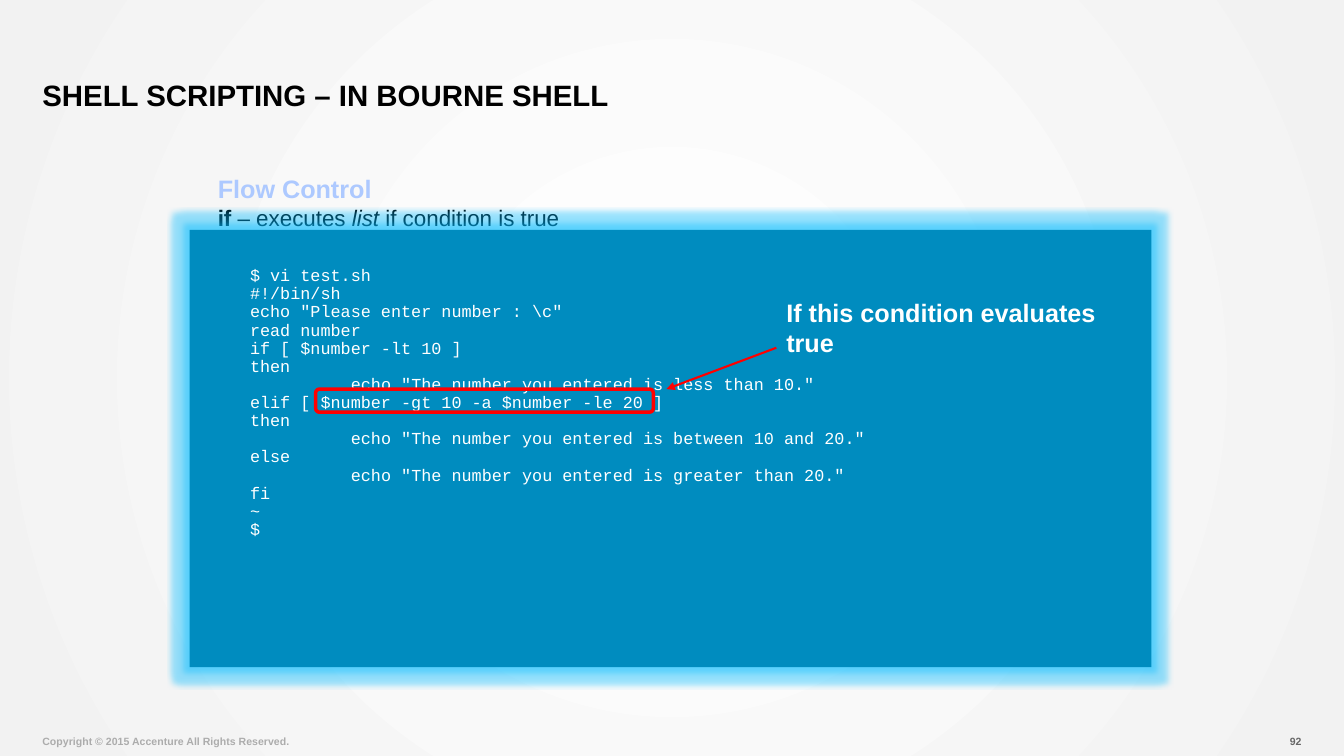
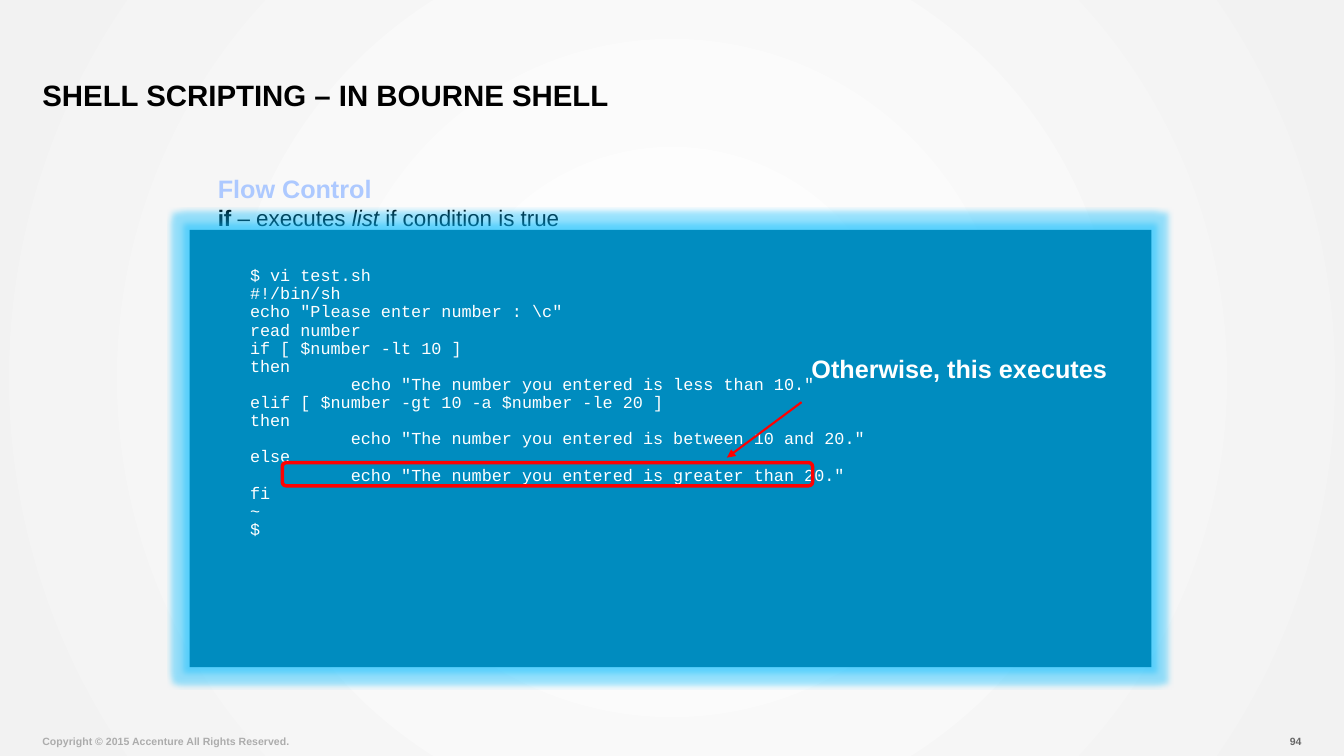
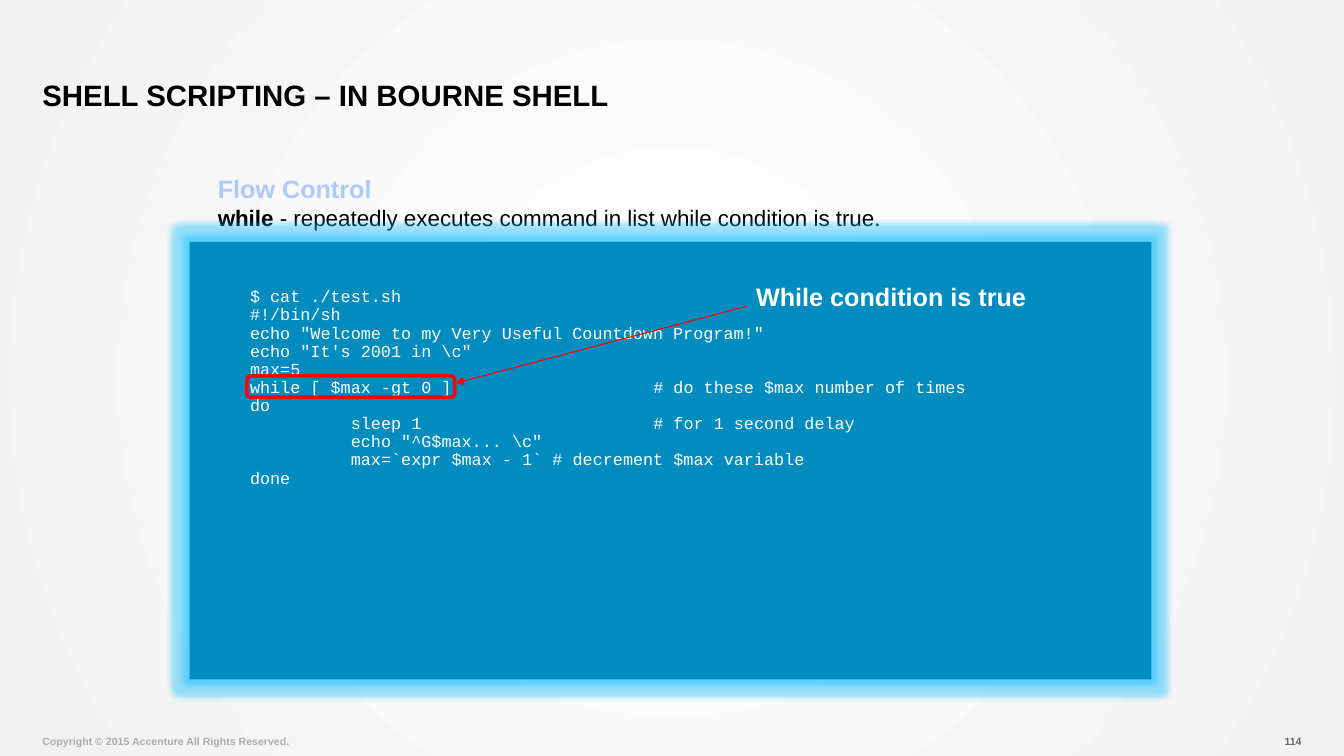
from lxml import etree
from pptx import Presentation
from pptx import util as u
from pptx.dml.color import RGBColor
from pptx.enum import shapes, text
from pptx.oxml import ns

Inches, Pt = u.Inches, u.Pt
COLORS = {
    "black": "000000", "white": "FFFFFF", "edge": "F2F2F2", "panel": "008CBF",
    "glow": "00BAFF", "heading": "ADC9FF", "mark": "FF0000",
    "copyright": "ACACAC", "number": "666666",
}
LINE_HEIGHT = 0.18
PANEL_HEIGHT = 4.34


def add_span(para, words, size, color, bold=False, italic=False, face="Arial"):
    span = para.add_run()
    span.text = words
    span.font.name = face
    span.font.size = Pt(size)
    span.font.bold = bold
    span.font.italic = italic
    span.font.color.rgb = RGBColor.from_string(COLORS[color])


def set_frame(frame, anchor, left=0, top=0, right=0, bottom=0):
    frame.word_wrap = True
    frame.auto_size = text.MSO_AUTO_SIZE.NONE
    frame.vertical_anchor = anchor
    frame.margin_left, frame.margin_top = Inches(left), Inches(top)
    frame.margin_right, frame.margin_bottom = Inches(right), Inches(bottom)


if_code = [
    "$ vi test.sh",
    "#!/bin/sh",
    'echo "Please enter number : \\c"',
    "read number",
    "if [ $number -lt 10 ]",
    "then",
    '\techo "The number you entered is less than 10."',
    "elif [ $number -gt 10 -a $number -le 20 ]",
    "then",
    '\techo "The number you entered is between 10 and 20."',
    "else",
    '\techo "The number you entered is greater than 20."',
    "fi",
    "~",
    "$",
]
while_code = [
    "$ cat ./test.sh",
    "#!/bin/sh",
    'echo "Welcome to my Very Useful Countdown Program!"',
    'echo "It\'s 2001 in \\c"',
    "max=5",
    "while [ $max -gt 0 ]\t\t# do these $max number of times",
    "do",
    "\tsleep 1\t\t\t# for 1 second delay",
    '\techo "^G$max... \\c"',
    "\tmax=`expr $max - 1`\t# decrement $max variable",
    "done",
]
if_intro = [("if ", True, False), ("– executes", False, False),
            (" list ", False, True), ("if condition is true", False, False)]
while_intro = [("while ", True, False),
               ("- repeatedly executes command in list while condition is true.", False, False)]

pages = [
    {"number": "92", "intro": if_intro, "code": if_code, "panel_top": 2.28, "rows": 20,
     "mark": (3.13, 3.86, 3.35, 0.23), "arrow": (3.45, 6.61, 3.86, 1.5),
     "callout": (7.7, 2.9, 0.71), "words": ["If this condition evaluates", "true"]},
    {"number": "94", "intro": if_intro, "code": if_code, "panel_top": 2.28, "rows": 20,
     "mark": (2.8, 4.59, 5.26, 0.23), "arrow": (3.99, 7.21, 4.54, 1.5),
     "callout": (7.95, 3.46, 0.4), "words": ["Otherwise, this executes"]},
    {"number": "114", "intro": while_intro, "code": while_code, "panel_top": 2.4, "rows": 19,
     "mark": (2.45, 3.73, 2.06, 0.21), "arrow": (3.04, 4.52, 3.8, 0.75),
     "callout": (7.4, 2.74, 0.4), "words": ["While condition is true"]},
]

deck = Presentation()
deck.slide_width, deck.slide_height = Inches(13.33), Inches(7.5)

backdrop = deck.slide_master.background.fill
backdrop.gradient()
for stop, position, color in zip(backdrop.gradient_stops, (0.02, 1), ("white", "edge")):
    stop.position = position
    stop.color.rgb = RGBColor.from_string(COLORS[color])
gradient = deck.slide_master.element.find(".//" + ns.qn("a:gradFill"))
for linear in gradient.findall(ns.qn("a:lin")):
    gradient.remove(linear)
circle = etree.SubElement(gradient, ns.qn("a:path"), {"path": "circle"})
etree.SubElement(circle, ns.qn("a:fillToRect"), dict.fromkeys("ltrb", "50000"))

layout = deck.slide_layouts[1]
for holder, place in zip(layout.placeholders, ((0.42, 0, 12.5, 1.11), (2.16, 1.67, 9.11, 5.42))):
    holder.left, holder.top, holder.width, holder.height = map(Inches, place)

for page in pages:
    slide = deck.slides.add_slide(layout)
    title, body = slide.placeholders

    set_frame(title.text_frame, text.MSO_ANCHOR.BOTTOM, top=0.05)
    para = title.text_frame.paragraphs[0]
    para.alignment = text.PP_ALIGN.LEFT
    para.line_spacing = 0.7
    add_span(para, "SHELL SCRIPTING – IN BOURNE SHELL", 21, "black", True)

    for left, width, words, color, align in (
        (0.42, 6.25, "Copyright © 2015 Accenture All Rights Reserved.", "copyright", text.PP_ALIGN.LEFT),
        (12.58, 0.33, page["number"], "number", text.PP_ALIGN.RIGHT),
    ):
        box = slide.shapes.add_textbox(Inches(left), Inches(7.19), Inches(width), Inches(0.23))
        set_frame(box.text_frame, text.MSO_ANCHOR.BOTTOM)
        para = box.text_frame.paragraphs[0]
        para.alignment = align
        add_span(para, words, 7.5, color, True)

    set_frame(body.text_frame, text.MSO_ANCHOR.TOP, top=0.05, bottom=0.05)
    heading, intro = body.text_frame.paragraphs[0], body.text_frame.add_paragraph()
    for para in (heading, intro):
        para.alignment = text.PP_ALIGN.JUSTIFY
        para.space_before = Pt(0)
        props = para._p.get_or_add_pPr()
        props.set("marL", "0")
        props.set("indent", "0")
        etree.SubElement(props, ns.qn("a:buNone"))
    add_span(heading, "Flow Control", 18, "heading", True)
    for words, bold, italic in page["intro"]:
        add_span(intro, words, 16, "black", bold, italic)

    panel = slide.shapes.add_shape(
        shapes.MSO_SHAPE.RECTANGLE,
        Inches(1.88), Inches(page["panel_top"]), Inches(9.54), Inches(PANEL_HEIGHT))
    panel.shadow.inherit = False
    panel.fill.solid()
    panel.fill.fore_color.rgb = RGBColor.from_string(COLORS["panel"])
    panel.line.fill.background()
    effects = panel._element.spPr.find(ns.qn("a:effectLst"))
    glow = etree.SubElement(effects, ns.qn("a:glow"), {"rad": str(Inches(0.11))})
    tint = etree.SubElement(glow, ns.qn("a:srgbClr"), {"val": COLORS["glow"]})
    etree.SubElement(tint, ns.qn("a:alpha"), {"val": "40000"})
    inset = (PANEL_HEIGHT - page["rows"] * LINE_HEIGHT) / 2
    set_frame(panel.text_frame, text.MSO_ANCHOR.TOP, left=0.6, top=inset, right=0.1)
    for row, words in enumerate(page["code"]):
        para = panel.text_frame.add_paragraph() if row else panel.text_frame.paragraphs[0]
        para.alignment = text.PP_ALIGN.LEFT
        para.line_spacing = 0.9
        tabs = etree.SubElement(para._p.get_or_add_pPr(), ns.qn("a:tabLst"))
        for inch in range(1, 5):
            etree.SubElement(tabs, ns.qn("a:tab"), {"pos": str(Inches(inch)), "algn": "l"})
        add_span(para, words, 12, "white", face="Courier New")

    mark = slide.shapes.add_shape(shapes.MSO_SHAPE.ROUNDED_RECTANGLE, *map(Inches, page["mark"]))
    mark.shadow.inherit = False
    mark.fill.background()
    mark.line.color.rgb = RGBColor.from_string(COLORS["mark"])
    mark.line.width = Pt(2.5)

    left, top, height = page["callout"]
    start_y, end_x, end_y, weight = page["arrow"]
    arrow = slide.shapes.add_connector(
        shapes.MSO_CONNECTOR.STRAIGHT, Inches(left), Inches(start_y), Inches(end_x), Inches(end_y))
    arrow.line.color.rgb = RGBColor.from_string(COLORS["mark"])
    arrow.line.width = Pt(weight)
    etree.SubElement(arrow.line._get_or_add_ln(), ns.qn("a:tailEnd"), {"type": "triangle"})
    etree.SubElement(arrow._element.spPr, ns.qn("a:effectLst"))

    callout = slide.shapes.add_textbox(Inches(left), Inches(top), Inches(3.28), Inches(height))
    set_frame(callout.text_frame, text.MSO_ANCHOR.TOP, 0.1, 0.05, 0.1, 0.05)
    for row, words in enumerate(page["words"]):
        para = callout.text_frame.add_paragraph() if row else callout.text_frame.paragraphs[0]
        add_span(para, words, 18, "white", True)

deck.save("out.pptx")
